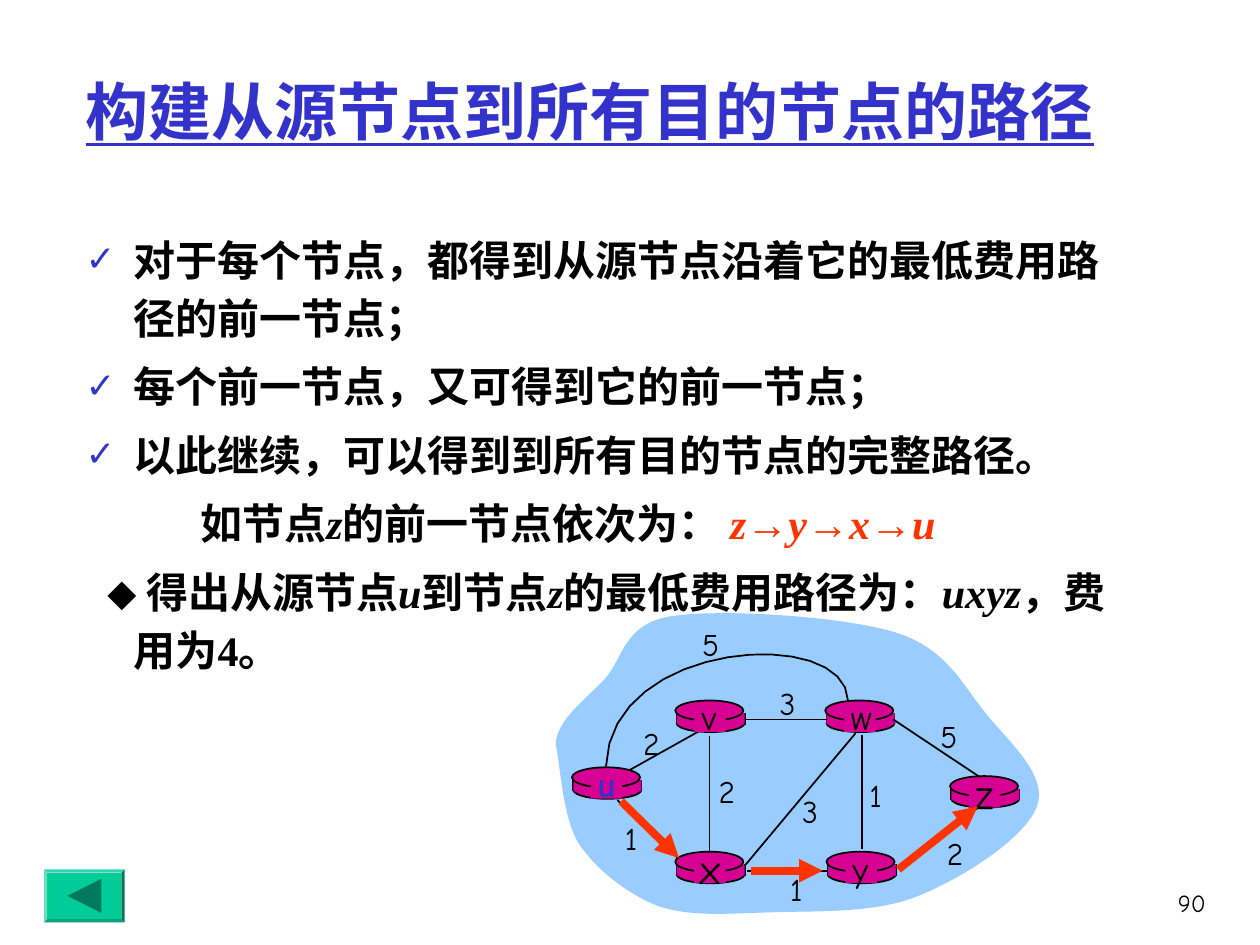
from lxml.etree import SubElement
from pptx import Presentation
from pptx.dml.color import RGBColor
from pptx.enum.shapes import MSO_CONNECTOR, MSO_SHAPE as Kind
from pptx.enum.text import MSO_ANCHOR as Anchor, MSO_AUTO_SIZE as Auto, PP_ALIGN as Align
from pptx.oxml.ns import qn
from pptx.util import Emu, Inches, Pt

deck = Presentation()
deck.slide_width, deck.slide_height = Inches(10), Inches(7.5)
COL, ROW = deck.slide_width / 100, deck.slide_height / 75

BLUE, BLACK, RED, PINK, SKY, GREEN = "3333CC", "000000", "FF3300", "D60093", "99CCFF", "00CC99"
SERIF, SANS, COMIC = "Times New Roman", "Arial", "Comic Neue"
BASE = dict(size=Pt(24), name=SERIF, bold=True, color=BLACK)
ITAL = dict(italic=True)
PATH = dict(italic=True, color=RED)
STEP = dict(PATH, name=SANS)

TITLE = "构建从源节点到所有目的节点的路径"
LIST = [
    (True, 3.8, -3.8, [("对于每个节点，都得到从源节点沿着它的最低费用路径的前一节点；", {})]),
    (True, 3.8, -3.8, [("每个前一节点，又可得到它的前一节点；", {})]),
    (True, 3.8, -3.8, [("以此继续，可以得到到所有目的节点的完整路径。", {})]),
    (False, 9.1, 0, [("如节点", {}), ("z", ITAL), ("的前一节点依次为： ", {}), ("z", PATH), ("→", STEP),
                     ("y", PATH), ("→", STEP), ("x", PATH), ("→", STEP), ("u", PATH)]),
    (False, 3.8, -2.1, [("⬥", dict(name=SANS)), (" 得出从源节点", {}), ("u", ITAL), ("到节点", {}),
                        ("z", ITAL), ("的最低费用路径为：", {}), ("uxyz", ITAL), ("，费用为4。", {})]),
]

# All network lengths are columns and rows from the corner of its box.
CLOUD = [
    (0, 10.8), (0.1, 8.8), (2.3, 7.3), (3.9, 5.6), (5.4, 3.9), (5.4, 1.2), (9.2, 0.6),
    (13.1, 0), (22.8, 0.6), (27, 1.9), (31.1, 3.2), (32.3, 6.1), (34.2, 8.4),
    (36.1, 10.7), (39.1, 13.3), (38.2, 15.7), (37.3, 18.2), (32.3, 21.4), (28.8, 22.8),
    (25.4, 24.2), (20.7, 24), (17.3, 24.1), (13.8, 24.2), (10.7, 24.5), (8.1, 23.6),
    (5.6, 22.6), (3.2, 20.7), (1.8, 18.6), (0.5, 16.4), (0.4, 12.4), (0, 10.8),
]
ARC = [(23.2, 7.3), (23.1, 1.3), (4.3, 2.4), (4, 12.5)]
NODES = {
    "u": (1.3, 12.6, 20), "y": (21.5, 19.3, 20), "x": (9.5, 19.3, 24),
    "w": (21.4, 7.3, 20), "v": (9.5, 7.3, 20), "z": (31.3, 13.3, 24),
}
LINKS = [
    (5.9, 12.8, 11.8, 9.5), (24.3, 10, 24.3, 19.1), (12.2, 10.1, 12.2, 19.4),
    (15.1, 20.3, 23.8, 9.9), (27, 20.6, 33.4, 15.9), (15.2, 20.8, 21.6, 20.8),
    (4.9, 15.2, 9.7, 19.8), (15.1, 8.8, 21.5, 8.8), (26.8, 8.8, 33.7, 13.4),
]
COSTS = [
    ("2", 7.6, 10.7), ("2", 13.6, 14.5), ("1", 6, 18.2), ("3", 20.2, 16.1), ("1", 19.1, 22.3),
    ("1", 25.4, 14.8), ("2", 31.7, 19.4), ("5", 31.2, 10.1), ("3", 18.4, 7.5), ("5", 12.3, 2.8),
]
ROUTE = [(5.2, 15.3, 9.8, 19.8), (15.5, 20.8, 21.2, 20.8), (27.2, 20.7, 33.5, 15.7)]


def rgb(code):
    return RGBColor.from_string(code)


def grid(*cells):
    """Turn alternating columns and rows into lengths."""
    return [Emu(round(c * (ROW if i % 2 else COL))) for i, c in enumerate(cells)]


def move(shape, box):
    for key, val in zip(("left", "top", "width", "height"), grid(*box)):
        setattr(shape, key, val)


def write(para, text, **form):
    run = para.add_run()
    run.text = text
    for key, val in form.items():
        if key == "color":
            run.font.color.rgb = rgb(val)
        else:
            setattr(run.font, key, val)


def paint(shape, fill, line=None):
    shape.shadow.inherit = False
    shape.fill.solid()
    shape.fill.fore_color.rgb = rgb(fill)
    if line:
        shape.line.color.rgb, shape.line.width = rgb(line), Pt(1)
    else:
        shape.line.fill.background()


def solid(parts, kind, box, fill, line=None):
    shape = parts.add_shape(kind, *grid(*box))
    paint(shape, fill, line)
    return shape


def stroke(parts, ends, color=BLACK, width=1, arrow=False):
    line = parts.add_connector(MSO_CONNECTOR.STRAIGHT, *grid(*ends))
    line.line.color.rgb, line.line.width = rgb(color), Pt(width)
    if arrow:
        SubElement(line.line._get_or_add_ln(), qn("a:tailEnd"), type="triangle")
    SubElement(line._element.spPr, qn("a:effectLst"))


def curve(parts, pts, close, steps=16):
    """Draw a chain of cubic curves as a fine outline."""
    dots = []
    for i in range(0, len(pts) - 1, 3):
        a, b, c, d = pts[i:i + 4]
        for n in range(1, steps + 1):
            t = n / steps
            s = 1 - t
            dots.append(grid(*(s**3 * p + 3 * s * s * t * q + 3 * s * t * t * r + t**3 * e
                               for p, q, r, e in zip(a, b, c, d))))
    pen = parts.build_freeform(*grid(*pts[0]))
    pen.add_line_segments(dots, close=close)
    return pen.convert_to_shape()


def label(parts, text, x, y, size, color=BLACK, bold=False):
    """Centre one line of text on a point."""
    wide, high = 3.3, 4 + (size - 18) / 6
    frame = parts.add_textbox(*grid(x - wide / 2, y - high / 2, wide, high)).text_frame
    frame.word_wrap = False
    para = frame.paragraphs[0]
    para.alignment = Align.CENTER
    write(para, text, size=Pt(size), name=COMIC, color=color, bold=bold)


def router(parts, x, y):
    solid(parts, Kind.OVAL, (x + 0.1, y + 1.1, 5.4, 1.4), PINK, BLACK)
    for side in (x + 0.1, x + 5.5):
        stroke(parts, (side, y + 1, side, y + 1.9))
    solid(parts, Kind.RECTANGLE, (x + 0.1, y + 1, 5.4, 0.9), PINK)
    solid(parts, Kind.OVAL, (x, y, 5.4, 1.6), PINK, BLACK)


def network(slide, left, top):
    def at(x, y):
        return left + x, top + y

    def span(ends):
        return at(*ends[:2]) + at(*ends[2:])

    parts = slide.shapes.add_group_shape().shapes
    paint(curve(parts, [at(*p) for p in CLOUD], True), SKY)
    for x, y, _ in NODES.values():
        router(parts, *at(x, y))
    for ends in LINKS:
        stroke(parts, span(ends))
    arc = curve(parts, [at(*p) for p in ARC], False)
    paint(arc, SKY, BLACK)
    arc.fill.background()
    for name, (x, y, size) in NODES.items():
        source = name == "u"
        solid(parts, Kind.RECTANGLE, at(x + 1.5, y + 0.2) + (2.5, 2.3), PINK)
        label(parts, name, *at(x + 2.7, y + 1.3), size, BLUE if source else BLACK, source)
    for cost, x, y in COSTS:
        label(parts, cost, *at(x, y), 18)
    for ends in ROUTE:
        stroke(slide.shapes, span(ends), RED, 4.5, True)


def title(slide, box):
    shape = slide.shapes.title
    move(shape, box)
    frame = shape.text_frame
    frame.auto_size, frame.vertical_anchor = Auto.NONE, Anchor.MIDDLE
    para = frame.paragraphs[0]
    para.alignment = Align.LEFT
    write(para, TITLE, **dict(BASE, size=Pt(36), color=BLUE, underline=True))


def bullets(slide, box):
    shape = slide.placeholders[1]
    move(shape, box)
    frame = shape.text_frame
    frame.auto_size = Auto.NONE
    for i, (tick, left, first, runs) in enumerate(LIST):
        para = frame.add_paragraph() if i else frame.paragraphs[0]
        para.line_spacing, para.space_before = 1.15, Pt(6 if i else 0)
        props = para._p.get_or_add_pPr()
        props.set("marL", str(round(left * COL)))
        props.set("indent", str(round(first * COL)))
        if tick:
            SubElement(SubElement(props, qn("a:buClr")), qn("a:srgbClr"), val=BLUE)
            SubElement(props, qn("a:buSzPct"), val="85000")
            SubElement(props, qn("a:buChar"), char="✓")
        else:
            SubElement(props, qn("a:buNone"))
        for text, form in runs:
            write(para, text, **{**BASE, **form})


def back(slide, x, y, wide, high):
    """Draw the raised button with its arrow."""
    parts = slide.shapes
    solid(parts, Kind.BEVEL, (x, y, wide, high), GREEN).adjustments[0] = 0.06
    side = 2.7
    arrow = solid(parts, Kind.ISOSCELES_TRIANGLE,
                  (x + (wide - side) / 2, y + (high - side) / 2, side, side), "007A5C")
    arrow.rotation = 270


def number(slide, box):
    para = slide.shapes.add_textbox(*grid(*box)).text_frame.paragraphs[0]
    para.alignment = Align.RIGHT
    write(para, "90", size=Pt(14), name=COMIC, color=BLACK)


page = deck.slides.add_slide(deck.slide_layouts[1])
number(page, (89.3, 70, 7.4, 5))
title(page, (5.8, 2.5, 85, 12.5))
bullets(page, (5.8, 17.5, 85, 39.7))
back(page, 3.5, 69, 6.4, 4.2)
network(page, 44.1, 48.3)
deck.save("out.pptx")
